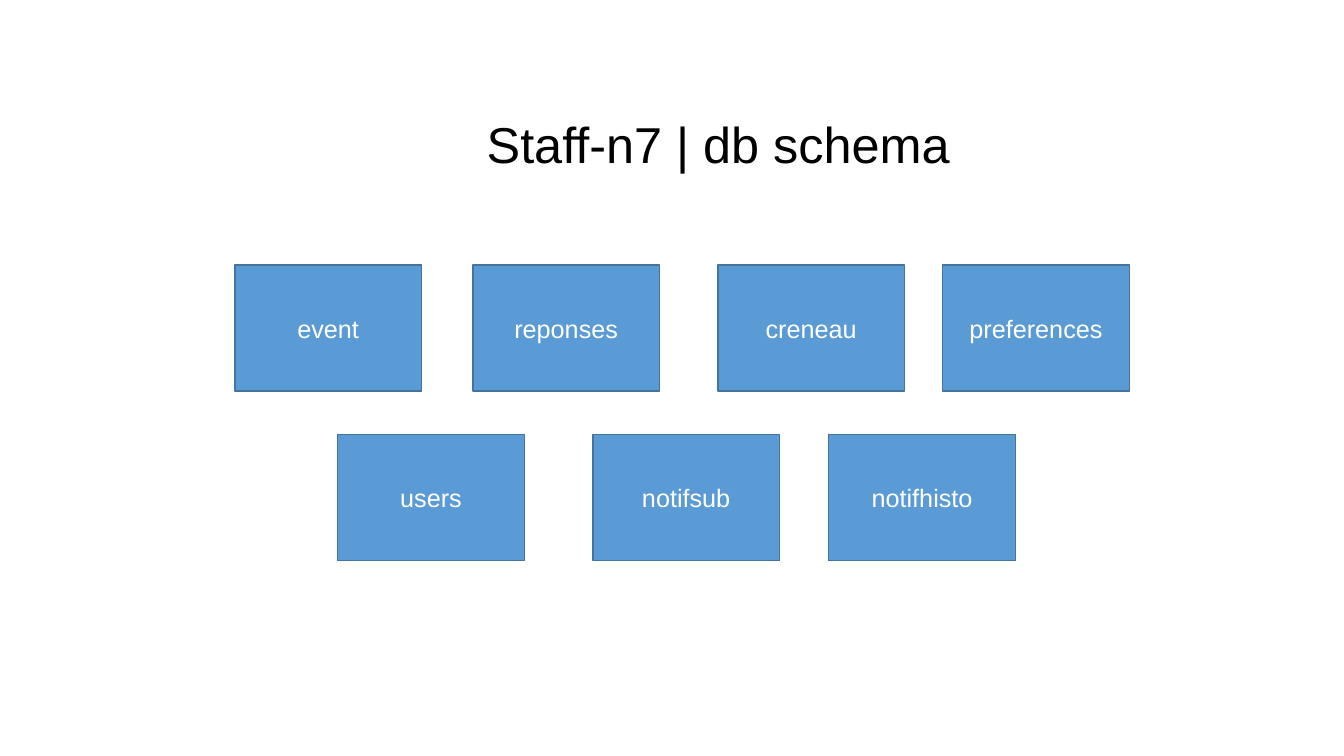
from pptx import Presentation
from pptx.dml.color import RGBColor
from pptx.enum import shapes, text
from pptx.util import Inches, Pt

BLUE = RGBColor(0x5B, 0x9B, 0xD5)
DARK_BLUE = RGBColor(0x43, 0x73, 0x9E)
WHITE = RGBColor(0xFF, 0xFF, 0xFF)
BLACK = RGBColor(0x00, 0x00, 0x00)

TABLE_WIDTH, TABLE_HEIGHT = 1.85, 1.25
# Top of each row, then the left edge of each database table in it
SCHEMA_ROWS = {
    2.63: {"event": 2.33, "reponses": 4.69, "creneau": 7.12, "preferences": 9.35},
    4.31: {"users": 3.35, "notifsub": 5.88, "notifhisto": 8.22},
}


class SchemaSlide:
    """Holds the slide and the style shared by its elements."""

    font_name = "Arial"
    title_format = {"size": Pt(36), "color": BLACK}
    label_format = {"size": Pt(18), "color": WHITE}

    def __init__(self, presentation):
        self.slide = presentation.slides.add_slide(presentation.slide_layouts[5])

    def set_text(self, frame, wording, font_format, anchor):
        frame.text = wording
        frame_format = {
            "word_wrap": True,
            "auto_size": text.MSO_AUTO_SIZE.NONE,
            "vertical_anchor": anchor,
        }
        for attribute, value in frame_format.items():
            setattr(frame, attribute, value)
        paragraph = frame.paragraphs[0]
        paragraph.alignment = text.PP_ALIGN.CENTER
        font = paragraph.runs[0].font
        font.name = self.font_name
        font.size = font_format["size"]
        font.color.rgb = font_format["color"]

    def title(self, wording, left, top, width, height):
        heading = self.slide.shapes.title
        position = {"left": left, "top": top, "width": width, "height": height}
        for attribute, value in position.items():
            setattr(heading, attribute, Inches(value))
        self.set_text(heading.text_frame, wording, self.title_format,
                      text.MSO_ANCHOR.TOP)

    def db_table(self, table_name, left, top):
        """Draw one database table as a labelled rectangle."""
        db_table = self.slide.shapes.add_shape(
            shapes.MSO_SHAPE.RECTANGLE, Inches(left), Inches(top),
            Inches(TABLE_WIDTH), Inches(TABLE_HEIGHT))
        db_table.shadow.inherit = False
        db_table.fill.solid()
        db_table.fill.fore_color.rgb = BLUE
        db_table.line.color.rgb = DARK_BLUE
        db_table.line.width = Pt(1)
        self.set_text(db_table.text_frame, table_name, self.label_format,
                      text.MSO_ANCHOR.MIDDLE)


def main():
    presentation = Presentation()
    presentation.slide_width = Inches(13.33)
    presentation.slide_height = Inches(7.5)
    schema = SchemaSlide(presentation)
    schema.title("Staff-n7 | db schema", 3.65, 1.07, 6.95, 0.7)
    for top, row in SCHEMA_ROWS.items():
        for table_name, left in row.items():
            schema.db_table(table_name, left, top)
    presentation.save("out.pptx")


if __name__ == "__main__":
    main()
